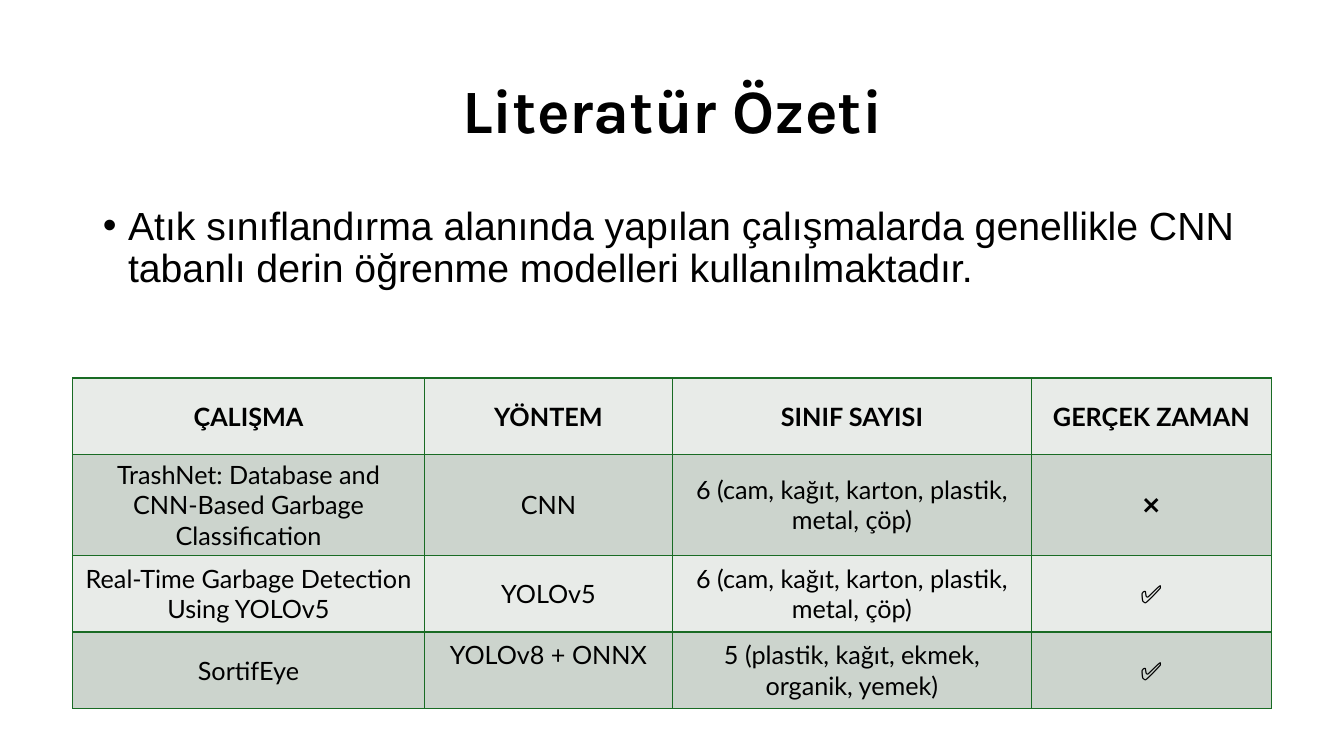
from lxml.etree import SubElement
from pptx import Presentation
from pptx.dml.color import RGBColor
from pptx.enum.text import MSO_ANCHOR as Anchor, MSO_AUTO_SIZE as AutoSize, PP_ALIGN as Align
from pptx.oxml.ns import qn
from pptx.util import Emu, Pt

PX = 9144
COLORS = {"text": "000000", "border": "196B24", "light": "E8EBE8", "dark": "CCD4CD"}

STUDIES = [
    ["ÇALIŞMA", "YÖNTEM", "SINIF SAYISI", "GERÇEK ZAMAN"],
    ["TrashNet: Database and CNN-Based Garbage Classification", "CNN",
     "6 (cam, kağıt, karton, plastik, metal, çöp)", "❌"],
    ["Real-Time Garbage Detection Using YOLOv5", "YOLOv5",
     "6 (cam, kağıt, karton, plastik, metal, çöp)", "✅"],
    ["SortifEye", "YOLOv8 + ONNX", "5 (plastik, kağıt, ekmek, organik, yemek)", "✅"],
]


def px(n):
    return Emu(n * PX)


class Deck:
    """Holds the slide style and the current slide."""

    def __init__(self, width, height):
        self.prs = Presentation()
        self.prs.slide_width, self.prs.slide_height = px(width), px(height)
        self.s = self.prs.slides.add_slide(self.prs.slide_layouts[1])

    def run(self, p, text, font, size, bold=False):
        r = p.add_run()
        r.text = text
        r.font.name, r.font.size, r.font.bold = font, Pt(size), bold
        r.font.color.rgb = RGBColor.from_string(COLORS["text"])

    def place(self, sp, box, anchor):
        sp.left, sp.top, sp.width, sp.height = map(px, box)
        tf = sp.text_frame
        tf.word_wrap, tf.auto_size, tf.vertical_anchor = True, AutoSize.NONE, anchor
        p = tf.paragraphs[0]
        p.line_spacing, p.space_before = 0.9, Pt(0)
        return p

    def title(self, text, box):
        p = self.place(self.s.shapes.title, box, Anchor.MIDDLE)
        p.alignment = Align.CENTER
        self.run(p, text, "Karla", 44, bold=True)

    def bullet(self, text, box):
        p = self.place(self.s.placeholders[1], box, Anchor.TOP)
        pPr = p._p.get_or_add_pPr()
        pPr.set("marL", str(px(25)))
        pPr.set("indent", str(px(-25)))
        SubElement(pPr, qn("a:buFont")).set("typeface", "Arial")
        SubElement(pPr, qn("a:buChar")).set("char", "•")
        p.alignment = Align.LEFT
        self.run(p, text, "Arial", 28)

    def borders(self, cell):
        tcPr = cell._tc.get_or_add_tcPr()
        for i, side in enumerate(("a:lnL", "a:lnR", "a:lnT", "a:lnB")):
            ln = tcPr.makeelement(qn(side), {"w": str(Pt(1))})
            fill = SubElement(ln, qn("a:solidFill"))
            SubElement(fill, qn("a:srgbClr")).set("val", COLORS["border"])
            tcPr.insert(i, ln)

    def table(self, rows, left, top, widths, heights):
        tbl = self.s.shapes.add_table(len(rows), len(widths), px(left), px(top),
                                      px(sum(widths)), px(sum(heights))).table
        for col, width in zip(tbl.columns, widths):
            col.width = px(width)
        for i, (row, height) in enumerate(zip(rows, heights)):
            tbl.rows[i].height = px(height)
            for j, text in enumerate(row):
                cell = tbl.cell(i, j)
                cell.vertical_anchor = Anchor.MIDDLE
                cell.fill.solid()
                cell.fill.fore_color.rgb = RGBColor.from_string(COLORS["dark" if i % 2 else "light"])
                self.borders(cell)
                p = cell.text_frame.paragraphs[0]
                p.alignment = Align.CENTER
                self.run(p, text, "Lato", 18, bold=i == 0)
        return tbl


def main():
    deck = Deck(1333, 750)
    deck.title("Literatür Özeti", (92, 40, 1150, 145))
    deck.bullet("Atık sınıflandırma alanında yapılan çalışmalarda genellikle CNN tabanlı "
                "derin öğrenme modelleri kullanılmaktadır.", (92, 200, 1150, 99))
    tbl = deck.table(STUDIES, 72, 375, (349, 246, 356, 238), (76, 99, 76, 76))
    tbl.cell(3, 1).margin_bottom = px(35)
    deck.prs.save("out.pptx")


if __name__ == "__main__":
    main()
